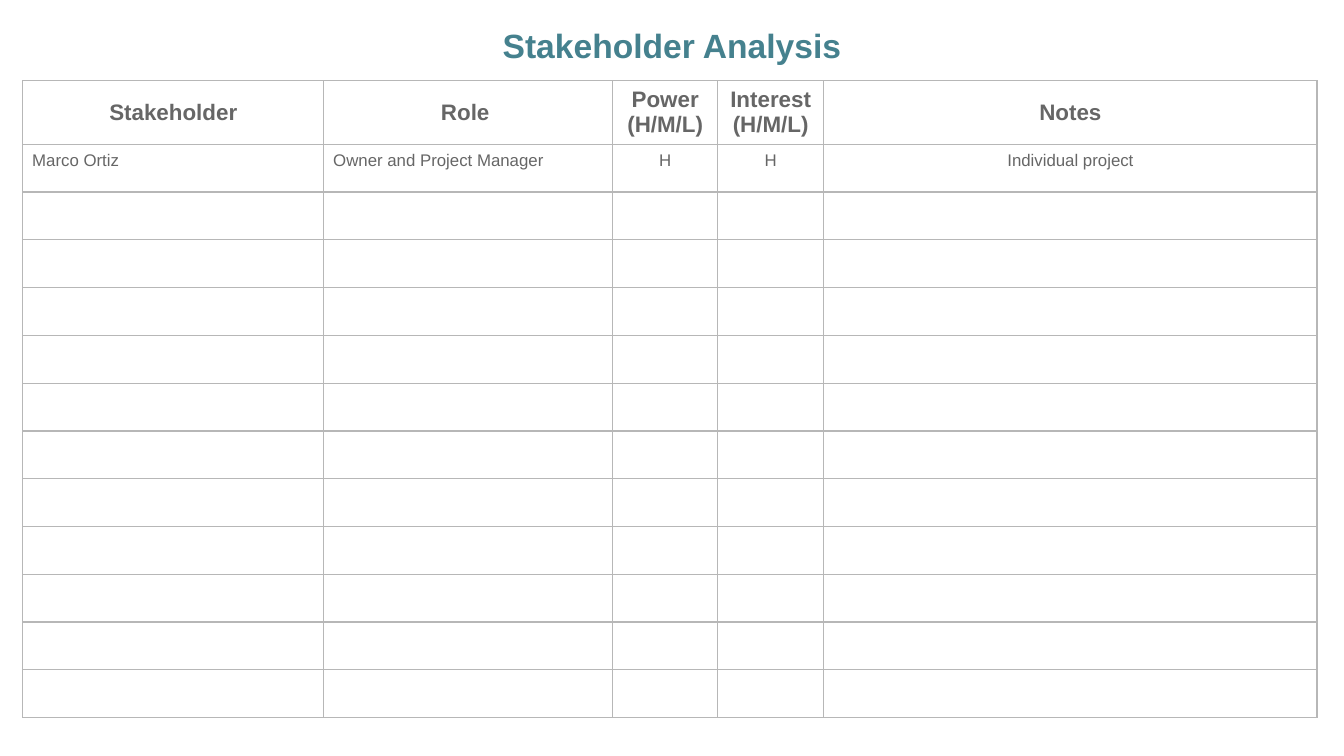
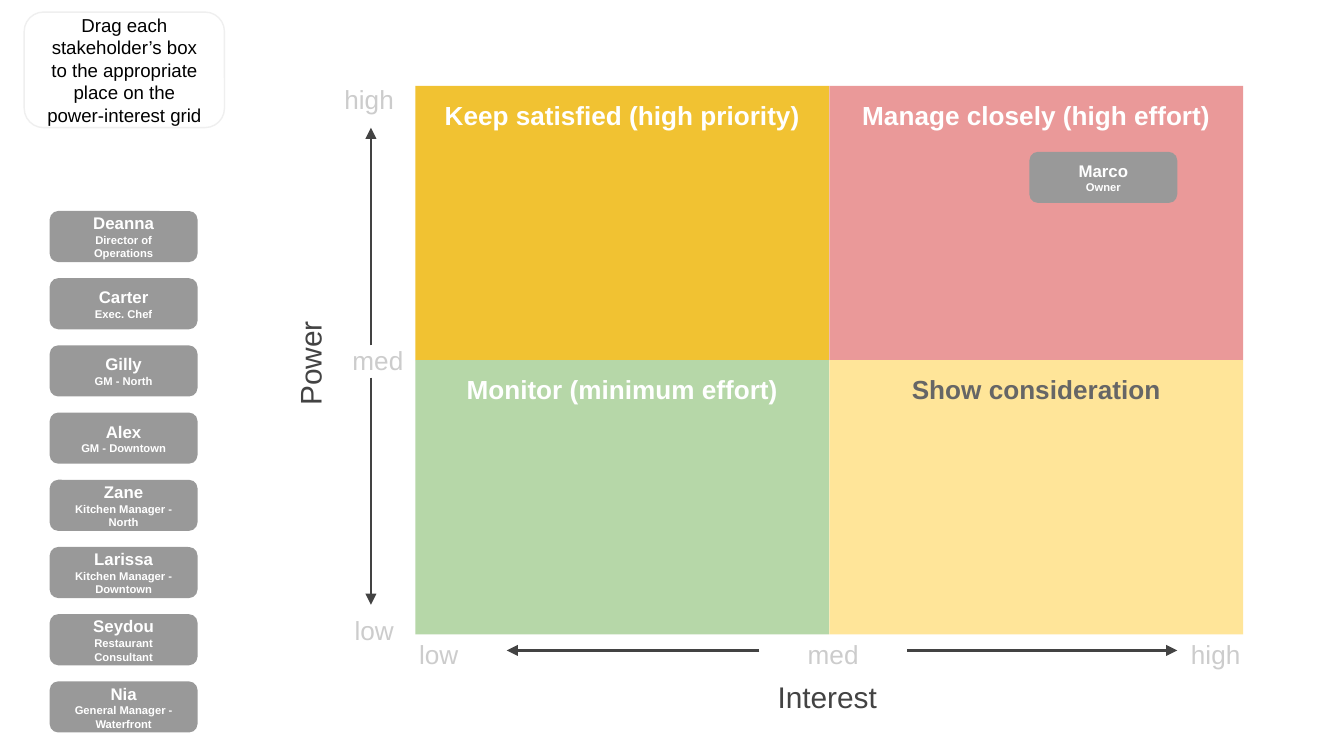
from lxml import etree
from pptx import Presentation
from pptx.dml.color import RGBColor
from pptx.enum.shapes import MSO_CONNECTOR, MSO_SHAPE
from pptx.enum.text import MSO_ANCHOR, MSO_AUTO_SIZE, PP_ALIGN
from pptx.oxml.ns import qn
from pptx.util import Inches, Pt

LEFT, CENTER, RIGHT = PP_ALIGN.LEFT, PP_ALIGN.CENTER, PP_ALIGN.RIGHT
TOP, MIDDLE = MSO_ANCHOR.TOP, MSO_ANCHOR.MIDDLE
RECT, ROUNDED = MSO_SHAPE.RECTANGLE, MSO_SHAPE.ROUNDED_RECTANGLE
STRAIGHT = MSO_CONNECTOR.STRAIGHT
NO_FIT = MSO_AUTO_SIZE.NONE

FONT = "Arial"
WHITE = RGBColor(0xFF, 0xFF, 0xFF)
BLACK = RGBColor(0x00, 0x00, 0x00)
TEAL = RGBColor(0x45, 0x81, 0x8E)
DARK = RGBColor(0x43, 0x43, 0x43)
GRAY = RGBColor(0x66, 0x66, 0x66)
CARD = RGBColor(0x99, 0x99, 0x99)
BORDER = RGBColor(0xB7, 0xB7, 0xB7)
SCALE = RGBColor(0xCC, 0xCC, 0xCC)
PALE = RGBColor(0xEF, 0xEF, 0xEF)
GOLD = RGBColor(0xF1, 0xC2, 0x32)
ROSE = RGBColor(0xEA, 0x99, 0x99)
GREEN = RGBColor(0xB6, 0xD7, 0xA8)
YELLOW = RGBColor(0xFF, 0xE5, 0x99)


def write_text(tf, *lines, size=14, sub_size=None, color=DARK, bold=False,
               align=CENTER, anchor=TOP, spacing=None, inset=0.1):
    """Write one paragraph a line; lines after the first take sub_size."""
    tf.word_wrap = True
    tf.auto_size = NO_FIT
    tf.vertical_anchor = anchor
    tf.margin_left = tf.margin_right = Inches(inset)
    tf.margin_top = tf.margin_bottom = Inches(inset)
    for i, line in enumerate(lines):
        p = tf.add_paragraph() if i else tf.paragraphs[0]
        p.alignment = align
        if spacing:
            p.line_spacing = spacing
        r = p.add_run()
        r.text = line
        r.font.name = FONT
        r.font.size = Pt(sub_size if i and sub_size else size)
        r.font.bold = bold
        r.font.color.rgb = color


class Deck:
    def __init__(self):
        self.prs = Presentation()
        self.prs.slide_width = Inches(10)
        self.prs.slide_height = Inches(10 * 9 / 16)
        self.s = None

    def slide(self, title=None):
        layout = self.prs.slide_layouts[5 if title else 6]
        self.s = self.prs.slides.add_slide(layout)
        if title:
            sp = self.s.shapes.title
            sp.left, sp.top = Inches(0.83), Inches(0.04)
            sp.width, sp.height = Inches(8.34), Inches(0.5)
            write_text(sp.text_frame, title, size=18, color=TEAL, bold=True,
                       spacing=1.15)

    def text(self, x, y, w, h, text, rotation=0, **fmt):
        sp = self.s.shapes.add_textbox(Inches(x), Inches(y), Inches(w), Inches(h))
        sp.rotation = rotation
        write_text(sp.text_frame, text, **fmt)

    def box(self, kind, x, y, w, h, *lines, fill=None, line=None, **fmt):
        sp = self.s.shapes.add_shape(kind, Inches(x), Inches(y), Inches(w), Inches(h))
        sp.shadow.inherit = False
        if fill is None:
            sp.fill.background()
        else:
            sp.fill.solid()
            sp.fill.fore_color.rgb = fill
        if line is None:
            sp.line.fill.background()
        else:
            sp.line.color.rgb = line
            sp.line.width = Pt(0.75)
        write_text(sp.text_frame, *lines, **fmt)

    def card(self, x, y, name, role):
        self.box(ROUNDED, x, y, 1.1, 0.38, name, role, fill=CARD, size=9,
                 sub_size=6, color=WHITE, bold=True, anchor=MIDDLE)

    def arrow(self, x1, y1, x2, y2):
        c = self.s.shapes.add_connector(STRAIGHT, Inches(x1), Inches(y1),
                                        Inches(x2), Inches(y2))
        c.line.color.rgb = DARK
        c.line.width = Pt(1.5)
        etree.SubElement(c.line._get_or_add_ln(), qn("a:tailEnd"), type="triangle")
        etree.SubElement(c._element.spPr, qn("a:effectLst"))

    def border(self, cell):
        tc_pr = cell._tc.get_or_add_tcPr()
        for i, side in enumerate(("lnL", "lnR", "lnT", "lnB")):
            ln = etree.Element(qn(f"a:{side}"), w=str(Pt(0.75)))
            fill = etree.SubElement(ln, qn("a:solidFill"))
            etree.SubElement(fill, qn("a:srgbClr"), val=str(BORDER))
            tc_pr.insert(i, ln)

    def table(self, x, y, widths, heights, header, rows):
        shape = self.s.shapes.add_table(
            len(heights), len(widths), Inches(x), Inches(y),
            Inches(sum(widths)), Inches(sum(heights)))
        tbl = shape.table
        tbl.first_row = tbl.horz_banding = False
        for col, w in zip(tbl.columns, widths):
            col.width = Inches(w)
        for row, h in zip(tbl.rows, heights):
            row.height = Inches(h)
        for cell in tbl.iter_cells():
            cell.fill.background()
            cell.margin_left = cell.margin_right = Inches(0.07)
            cell.margin_top = cell.margin_bottom = Inches(0.05)
            self.border(cell)
        for i, row in enumerate([header] + rows):
            for j, value in enumerate(row):
                cell = tbl.cell(i, j)
                self.fill_cell(cell, value, is_header=i == 0,
                               align=LEFT if i and j < 2 else CENTER)
        # Small type in the empty cells keeps their rows low
        for i in range(len(rows) + 1, len(heights)):
            for cell in tbl.rows[i].cells:
                p = cell.text_frame.paragraphs[0]
                etree.SubElement(p._p, qn("a:endParaRPr"), sz="900")

    def fill_cell(self, cell, value, is_header, align):
        cell.vertical_anchor = MIDDLE if is_header else TOP
        p = cell.text_frame.paragraphs[0]
        p.alignment = align
        r = p.add_run()
        r.text = value
        r.font.name = FONT
        r.font.size = Pt(12 if is_header else 9)
        r.font.bold = is_header
        r.font.color.rgb = GRAY


deck = Deck()

# Slide 1: stakeholder table
deck.slide("Stakeholder Analysis")
deck.table(0.17, 0.6, [2.24, 2.15, 0.78, 0.79, 3.67], [0.28] + [4.27 / 12] * 12,
           ["Stakeholder", "Role ", "Power (H/M/L)", "Interest (H/M/L)", "Notes"],
           [["Marco Ortiz", "Owner and Project Manager", "H", "H",
             "Individual project"]])

# Slide 2: power-interest grid
deck.slide()
GRID_X, GRID_Y, QUAD_W, QUAD_H = 3.09, 0.64, 3.08, 2.04
quadrants = [
    ("Keep satisfied (high priority)", GOLD, WHITE),
    ("Manage closely (high effort)", ROSE, WHITE),
    ("Monitor (minimum effort)", GREEN, WHITE),
    ("Show consideration", YELLOW, GRAY),
]
for i, (label, fill, color) in enumerate(quadrants):
    row, col = divmod(i, 2)
    deck.box(RECT, GRID_X + col * QUAD_W, GRID_Y + row * QUAD_H, QUAD_W, QUAD_H,
             label, fill=fill, color=color, bold=True)

# Power axis
deck.text(1.39, 2.53, 1.83, 0.35, "Power", rotation=270, size=16, anchor=MIDDLE)
for x, y, w, h, label in [(1.7, 0.52, 1.33, 0.26, "high"),
                          (2.42, 2.46, 0.68, 0.44, "med"),
                          (1.7, 4.47, 1.33, 0.26, "low")]:
    deck.text(x, y, w, h, label, color=SCALE, align=RIGHT)
deck.arrow(2.76, 2.57, 2.76, 0.95)
deck.arrow(2.76, 2.81, 2.76, 4.5)

# Interest axis
deck.text(5.41, 4.95, 1.49, 0.47, "Interest", size=16)
for x, w, label in [(2.76, 1.01, "low"), (5.65, 1.1, "med"), (8.54, 1.01, "high")]:
    deck.text(x, 4.65, w, 0.38, label, color=SCALE)
deck.arrow(5.65, 4.84, 3.77, 4.84)
deck.arrow(6.75, 4.84, 8.76, 4.84)

# Instruction and stakeholder cards
deck.box(ROUNDED, 0.18, 0.09, 1.49, 0.86,
         "Drag each stakeholder’s box to the appropriate place on the "
         "power-interest grid",
         line=PALE, size=10, color=BLACK, anchor=MIDDLE)
deck.card(7.66, 1.13, "Marco", "Owner")
stakeholders = [
    ("Deanna", "Director of Operations"),
    ("Carter", "Exec. Chef"),
    ("Gilly", "GM - North"),
    ("Alex", "GM - Downtown"),
    ("Zane", "Kitchen Manager - North"),
    ("Larissa", "Kitchen Manager - Downtown"),
    ("Seydou", "Restaurant Consultant"),
    ("Nia", "General Manager - Waterfront"),
]
for i, (name, role) in enumerate(stakeholders):
    deck.card(0.37, 1.57 + i * 0.5, name, role)

deck.prs.save("out.pptx")
